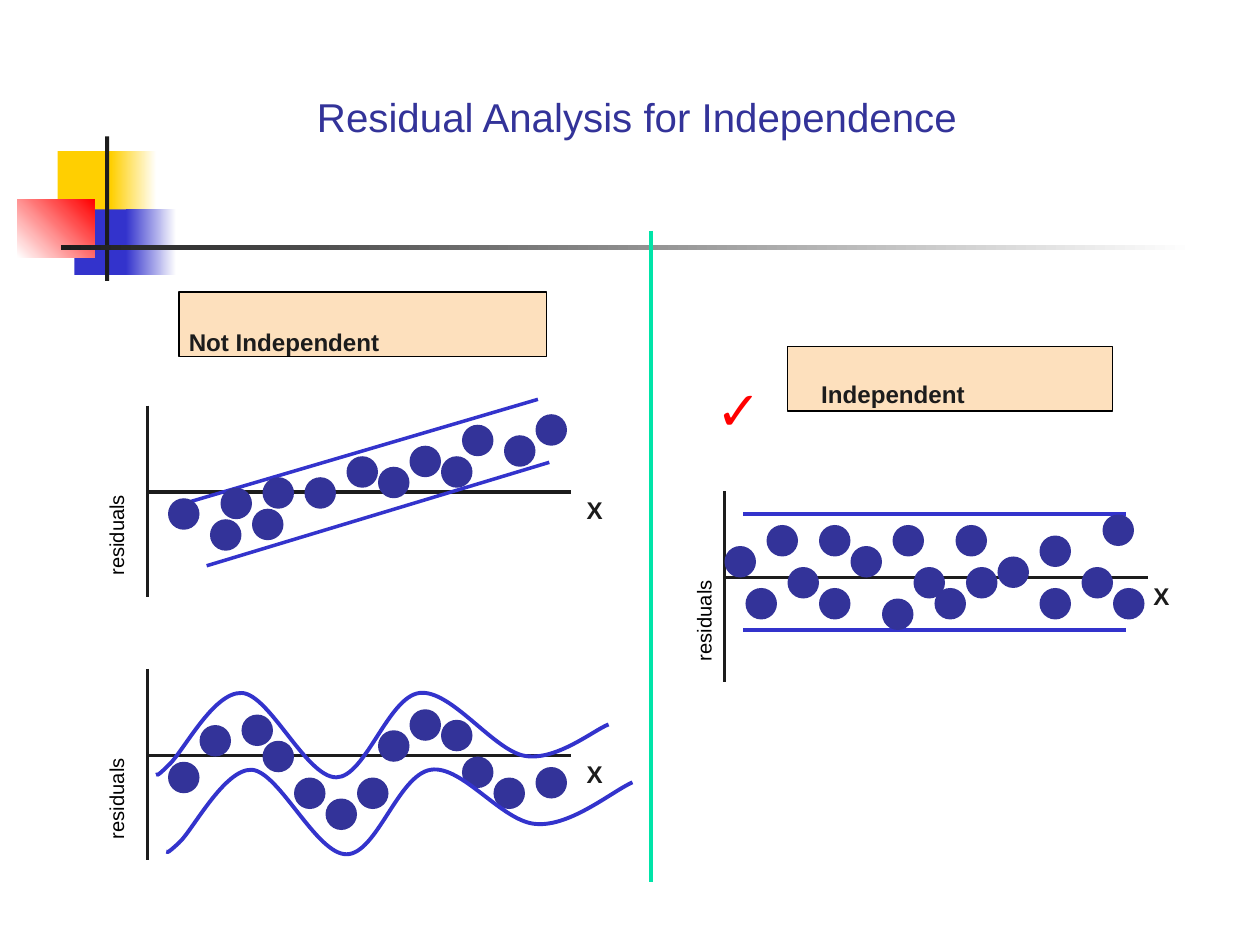
from lxml import etree
from pptx import Presentation
from pptx.dml.color import RGBColor
from pptx.enum.shapes import MSO_CONNECTOR, MSO_SHAPE
from pptx.enum.text import MSO_ANCHOR, PP_ALIGN
from pptx.oxml.ns import qn
from pptx.util import Pt

RECT, OVAL = MSO_SHAPE.RECTANGLE, MSO_SHAPE.OVAL
STRAIGHT = MSO_CONNECTOR.STRAIGHT
MIDDLE, BOTTOM = MSO_ANCHOR.MIDDLE, MSO_ANCHOR.BOTTOM
LEFT, CENTER = PP_ALIGN.LEFT, PP_ALIGN.CENTER

WHITE = RGBColor(0xFF, 0xFF, 0xFF)
BLACK = RGBColor(0, 0, 0)
INK = RGBColor(0x1C, 0x1C, 0x1C)
YELLOW = RGBColor(0xFF, 0xCF, 0x01)
BLUE = RGBColor(0x33, 0x33, 0xCC)
NAVY = RGBColor(0x33, 0x33, 0x99)
RED = RGBColor(0xFF, 0, 0)
PEACH = RGBColor(0xFD, 0xE0, 0xBD)
GREEN = RGBColor(0, 0xE4, 0xA8)

FONT = "Arial"
DOT = 18
GRID = 6

RISING_DOTS = [(21, 7), (20, 10), (25, 6), (24, 9), (29, 6), (16, 8), (39, 3),
               (36, 5), (33, 4), (48, 2), (44, 1), (42, 4), (51, 0)]
RANDOM_DOTS = [(78, 1), (78, 7), (75, 5), (71, 7), (69, 3), (73, 1), (91, 1),
               (89, 7), (87, 5), (84, 8), (85, 1), (81, 3), (99, 7), (95, 4),
               (92, 5), (103, 5), (105, 0), (99, 2), (106, 7)]
CYCLIC_DOTS = [(23, 0.5), (19, 1.5), (25, 3), (28, 6.5), (31, 8.5), (16, 5),
               (39, 0), (36, 2), (34, 6.5), (47, 6.5), (44, 4.5), (42, 1),
               (51, 5.5)]

UPPER_WAVE = [(89.3, 442.8), (90.7, 441.4), (87.8, 445.7), (95.8, 437.8),
              (104.4, 430.6), (121.7, 395.3), (138.2, 396),
              (154.1, 396.7), (175, 444.2), (192.2, 444.2),
              (208.8, 444.2), (221.8, 398.2), (239.8, 396),
              (257.8, 393.8), (282.2, 429.1), (300.2, 432),
              (318.2, 434.9), (339.8, 416.9), (347.8, 414)]
LOWER_WAVE = [(95, 486.7), (96.5, 486), (93.6, 489.6), (102.2, 481.7),
              (110.2, 474.5), (128.2, 439.2), (144, 439.9),
              (159.8, 441.4), (180.7, 488.2), (198, 488.2),
              (215.3, 488.2), (227.5, 442.8), (246.2, 439.9),
              (264.2, 437), (287.3, 470.2), (306.7, 470.9),
              (326.2, 472.3), (349.9, 452.2), (361.4, 447.1)]


def add_shape(s, kind, box, color, fade=None, angle=0, outline=None):
    sp = s.shapes.add_shape(kind, *map(Pt, box))
    sp.shadow.inherit = False
    if fade is None:
        sp.fill.solid()
        sp.fill.fore_color.rgb = color
    else:
        sp.fill.gradient()
        sp.fill.gradient_angle = angle
        for stop, rgb in zip(sp.fill.gradient_stops, (color, fade)):
            stop.color.rgb = rgb
    if outline is None:
        sp.line.fill.background()
    else:
        sp.line.color.rgb = outline
        sp.line.width = Pt(1)


def add_line(s, x1, y1, x2, y2, color, width=2):
    line = s.shapes.add_connector(STRAIGHT, *map(Pt, (x1, y1, x2, y2)))
    line.line.color.rgb = color
    line.line.width = Pt(width)
    etree.SubElement(line._element.spPr, qn("a:effectLst"))


def add_text(s, text, box, size, color, bold=False, align=LEFT,
             anchor=BOTTOM, rotation=0):
    sp = s.shapes.add_textbox(*map(Pt, box))
    sp.rotation = rotation
    tf = sp.text_frame
    tf.word_wrap = True
    tf.vertical_anchor = anchor
    tf.margin_top = tf.margin_bottom = 0
    tf.text = text
    p = tf.paragraphs[0]
    p.alignment = align
    r = p.runs[0]
    r.font.name = FONT
    r.font.size = Pt(size)
    r.font.bold = bold
    r.font.color.rgb = color


def add_curve(s, points):
    start, *rest = [(Pt(x), Pt(y)) for x, y in points]
    builder = s.shapes.build_freeform(*start)
    builder.add_line_segments(rest, close=False)
    sp = builder.convert_to_shape()
    sp.shadow.inherit = False
    sp.fill.background()
    sp.line.color.rgb = BLUE
    sp.line.width = Pt(2.25)
    segments = list(sp._element.iter(qn("a:lnTo")))
    for i in range(0, len(segments), 3):
        group = segments[i:i + 3]
        path = group[0].getparent()
        bezier = etree.SubElement(path, qn("a:cubicBezTo"))
        for segment in group:
            bezier.append(segment[0])
            path.remove(segment)


def add_dots(s, dots, top):
    for col, row in dots:
        add_shape(s, OVAL, (col * GRID, top + row * GRID, DOT, DOT), NAVY)


def add_axes(s, x, y, inset=0):
    add_line(s, x, y, x, y + 109.4, INK)
    add_line(s, x, y + 49.5, x + 242, y + 49.5, INK)
    add_text(s, "X", (x + 244 - inset, y + 32, 39, 36), 13.8, INK, bold=True)
    add_text(s, "residuals", (x - 78 + inset, y + 37.2, 103, 31), 11.5, BLACK,
             rotation=270)


def add_decoration(s):
    add_shape(s, RECT, (33, 86.4, 34.6, 37.4), YELLOW)
    add_shape(s, RECT, (63.4, 86.4, 26, 37.4), YELLOW, WHITE)
    add_shape(s, RECT, (42.5, 119.7, 33, 37.4), BLUE)
    add_shape(s, RECT, (72, 119.7, 28.8, 37.4), BLUE, WHITE)
    add_shape(s, RECT, (10, 113.8, 44, 33.4), WHITE, RED, angle=45)
    add_shape(s, RECT, (60, 78, 2.4, 82.6), INK)
    add_shape(s, RECT, (34.8, 140.2, 648, 2.4), INK, WHITE)


def add_heading(s, text, box, text_box):
    add_shape(s, RECT, box, PEACH, outline=BLACK)
    add_text(s, text, text_box, 13.8, INK, bold=True)


def main():
    prs = Presentation()
    prs.slide_width, prs.slide_height = Pt(720), Pt(540)
    s = prs.slides.add_slide(prs.slide_layouts[6])

    add_decoration(s)
    add_text(s, "Residual Analysis for Independence", (90, 24.5, 548.6, 83.5),
             23, NAVY, align=CENTER, anchor=MIDDLE)
    add_heading(s, "Not Independent", (102.2, 167, 210.2, 36.7),
                (100.8, 167.5, 260.6, 36))
    add_heading(s, "Independent", (450, 198, 185.8, 36.7),
                (462.2, 197.2, 223.2, 36))

    add_axes(s, 84.2, 231.8)
    add_line(s, 106.6, 287.3, 307.4, 228.2, BLUE)
    add_line(s, 118.1, 323.3, 313.9, 264.2, BLUE)
    add_dots(s, RISING_DOTS, 236.7)

    add_axes(s, 414, 280.6, inset=6)
    for y in (293.8, 360):
        add_line(s, 424.8, y, 643.7, y, BLUE)
    add_dots(s, RANDOM_DOTS, 294)

    add_axes(s, 84.2, 382.3)
    add_dots(s, CYCLIC_DOTS, 405.3)
    for wave in (UPPER_WAVE, LOWER_WAVE):
        add_curve(s, wave)

    add_line(s, 372, 132, 372, 504, GREEN, 2.25)
    add_text(s, "✓", (402, 180, 72, 72), 31, RED)
    prs.save("out.pptx")


if __name__ == "__main__":
    main()
